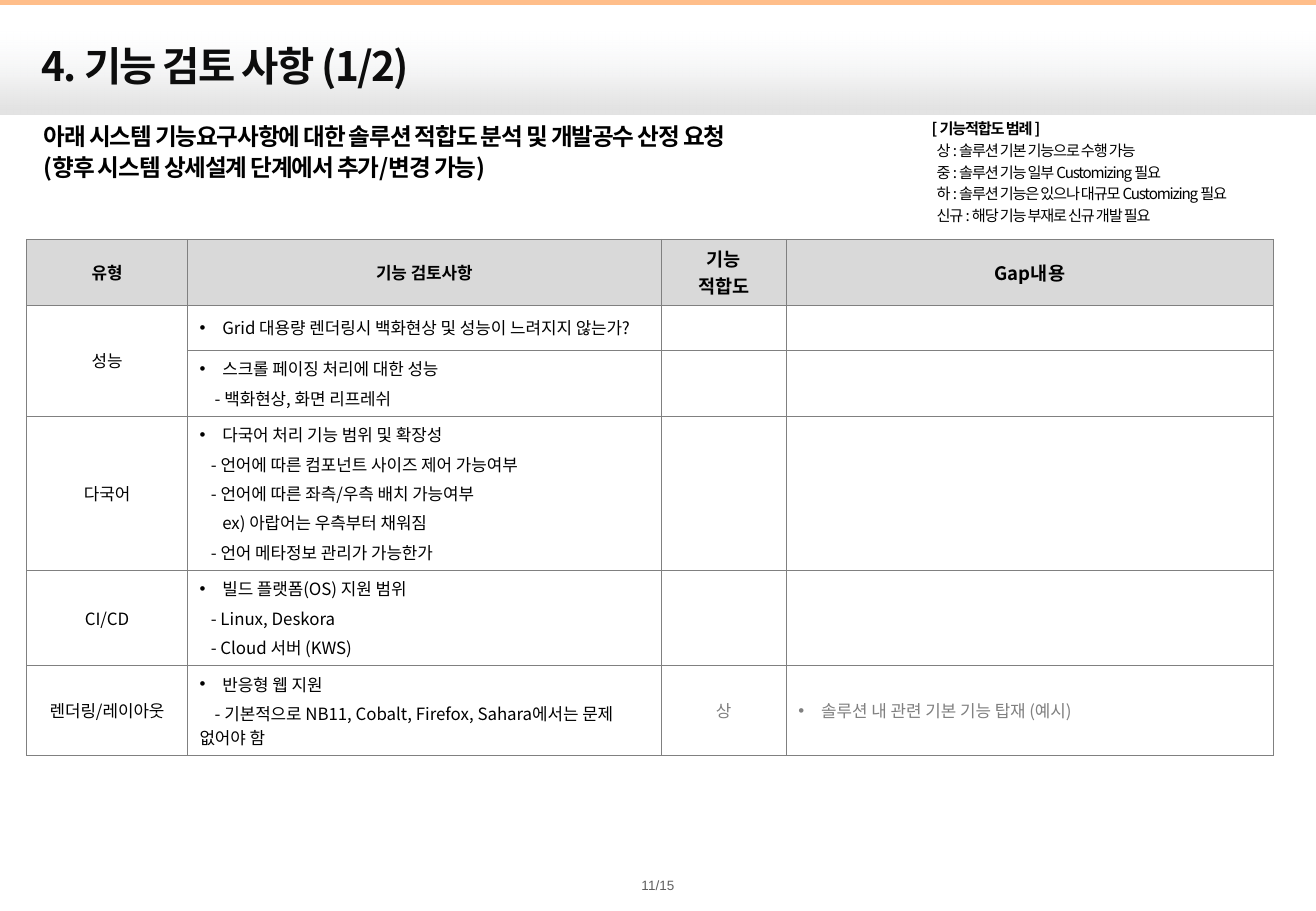
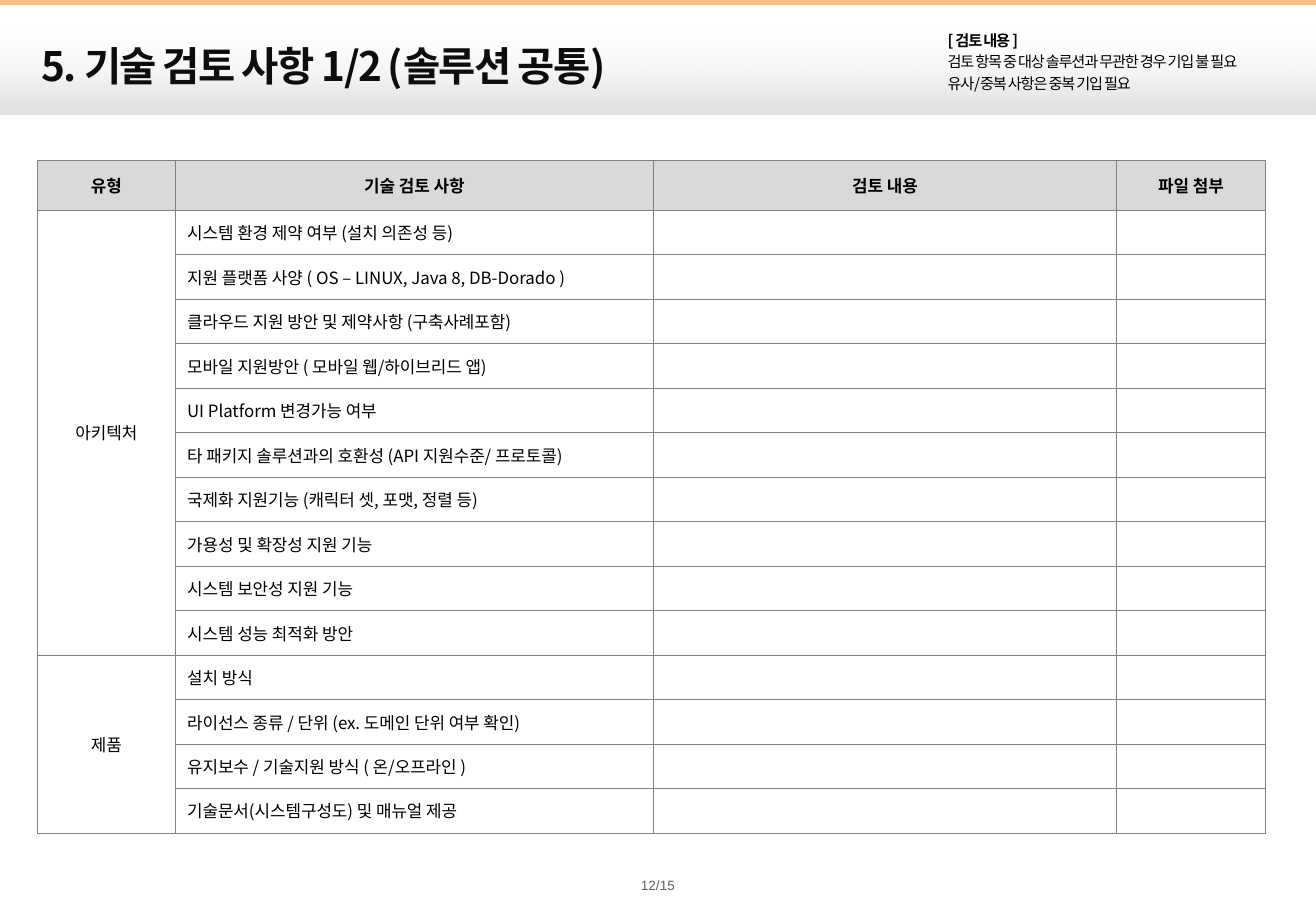
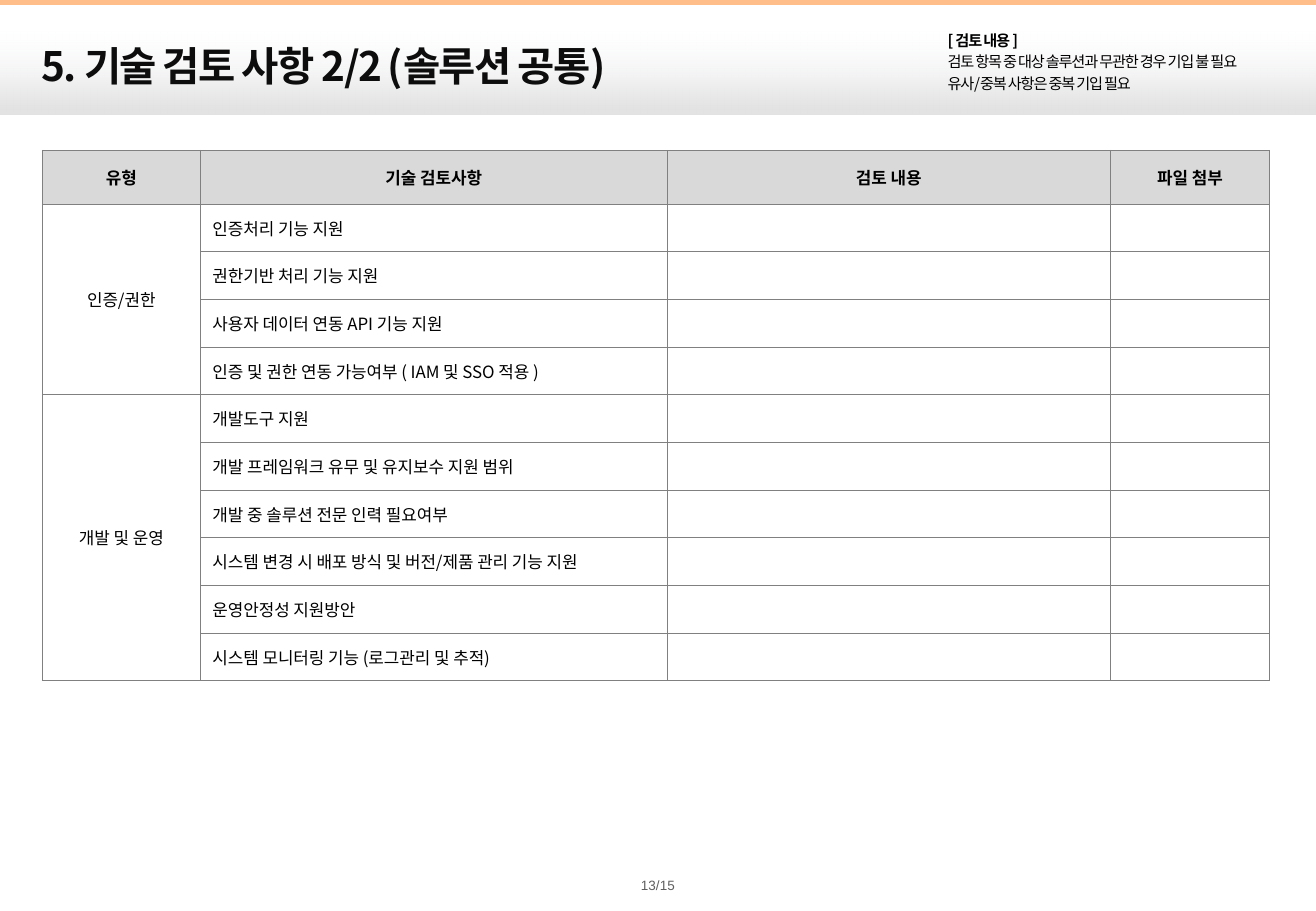
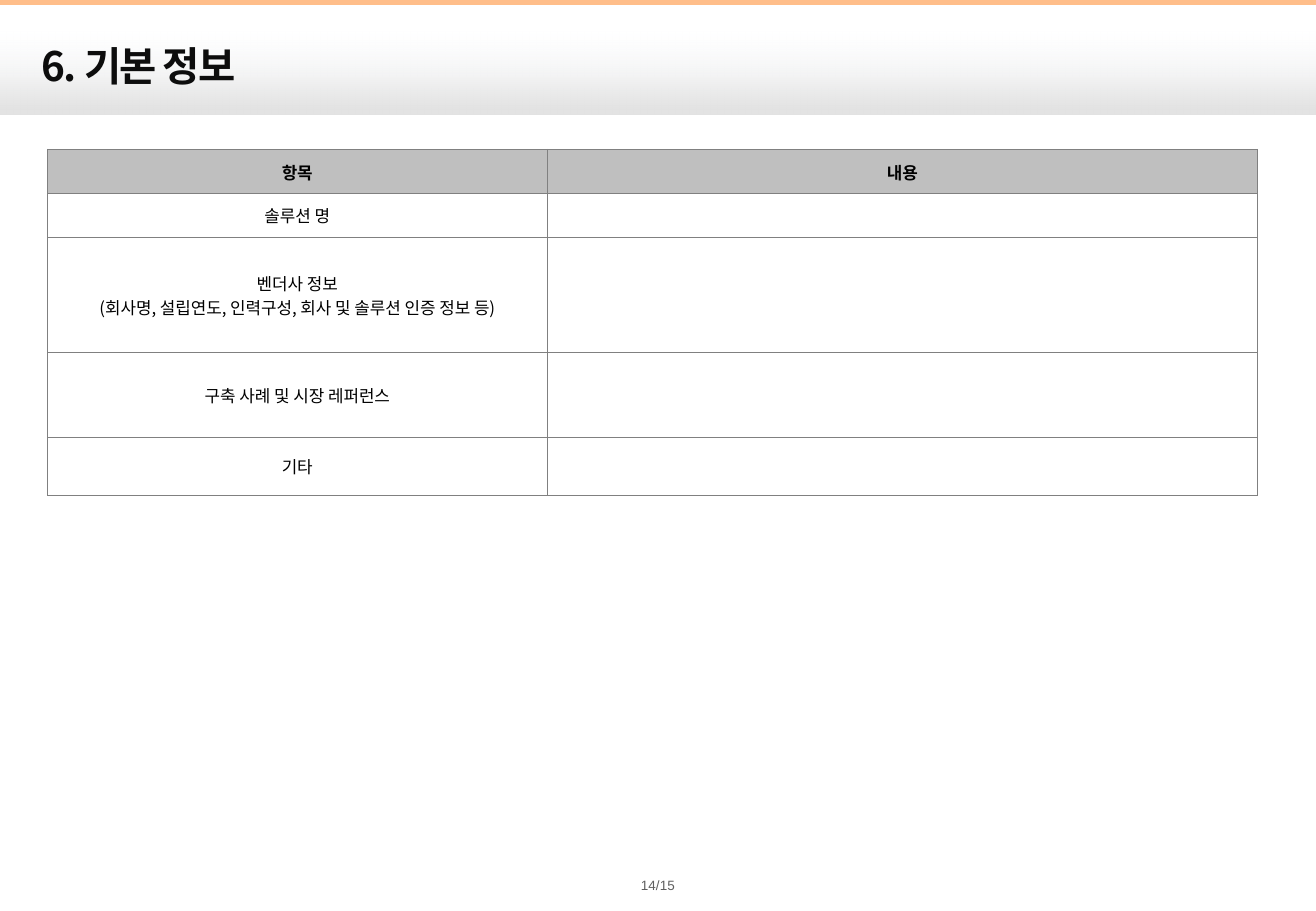
"""Build the solution review slides: function, technology and basic information tables."""
from lxml import etree
from pptx import Presentation
from pptx import util as u
from pptx.dml.color import RGBColor
from pptx.enum import shapes, text
from pptx.oxml.ns import qn

WIDTH, HEIGHT = 780, 540
KOREAN, LATIN = "Noto Sans CJK KR", "Arial"
COLORS = {
    "accent": "FFBE8A",
    "band_top": "F6F9FC",
    "band": "D9D9D9",
    "header": "D9D9D9",
    "header_dark": "BFBFBF",
    "border": "808080",
    "muted": "808080",
    "title": "0D0D0D",
    "text": "000000",
    "page": "5F5F5F",
}
BAND_STOPS = [(0, "band_top", 3), (74, "band", 55), (93, "band", 74)]
INDENTS = {
    "plain": (0, 0),
    "bullet": (13.5, -13.5),
    "legend": (0, 3),
    "dash": (0, 6.75),
    "deep": (0, 9),
    "example": (0, 13.5),
}
LEFT, CENTER = text.PP_ALIGN.LEFT, text.PP_ALIGN.CENTER


def rgb(name):
    """Return a named colour."""
    return RGBColor.from_string(COLORS[name])


def add_element(parent, tag, **attributes):
    """Append an XML child with the given attributes."""
    return etree.SubElement(parent, qn(tag), {key: str(value) for key, value in attributes.items()})


def write(frame, lines, size, color="text", bold=False, bold_first=False, align=LEFT,
          tracking=0, line_spacing=None, space_after=0, font=KOREAN):
    """Write lines, each a string or a (text, indent kind) pair, into a text frame."""
    pairs = [(line, "plain") if isinstance(line, str) else line for line in lines]
    frame.text = "\n".join(words for words, _ in pairs)
    for index, (paragraph, (words, kind)) in enumerate(zip(frame.paragraphs, pairs)):
        paragraph.alignment = align
        paragraph.space_after = u.Pt(space_after)
        if line_spacing:
            paragraph.line_spacing = line_spacing
        properties = paragraph._p.get_or_add_pPr()
        margin, indent = INDENTS[kind]
        properties.set("marL", str(u.Pt(margin)))
        properties.set("indent", str(u.Pt(indent)))
        if kind == "bullet":
            add_element(properties, "a:buFont", typeface=LATIN)
            add_element(properties, "a:buChar", char="•")
        paragraph.font.size = u.Pt(size)
        paragraph.font.bold = bold or (bold_first and index == 0)
        paragraph.font.color.rgb = rgb(color)
        paragraph.font.name = font
        defaults = properties.find(qn("a:defRPr"))
        add_element(defaults, "a:ea", typeface=font)
        if tracking:
            defaults.set("spc", str(round(tracking * 100)))
        if not words:
            add_element(paragraph._p, "a:endParaRPr", sz=size * 100)


def dress_layout(layout, slide):
    """Draw the title band and the top rule once and move them to the layout."""
    for placeholder in list(layout.placeholders):
        if placeholder.placeholder_format.idx:
            placeholder.element.getparent().remove(placeholder.element)
    band = slide.shapes.add_shape(shapes.MSO_SHAPE.RECTANGLE, 0, u.Pt(18.7), u.Pt(WIDTH), u.Pt(49))
    band.shadow.inherit = False
    band.line.fill.background()
    band.fill.gradient()
    band.fill.gradient_angle = 270
    stops = next(band.element.iter(qn("a:gsLst")))
    for stop in list(stops):
        stops.remove(stop)
    for position, color, opacity in BAND_STOPS:
        stop = add_element(stops, "a:gs", pos=position * 1000)
        tint = add_element(stop, "a:srgbClr", val=COLORS[color])
        add_element(tint, "a:alpha", val=opacity * 1000)
    rule = slide.shapes.add_connector(shapes.MSO_CONNECTOR.STRAIGHT, 0, u.Pt(1.4), u.Pt(WIDTH), u.Pt(1.4))
    rule.line.color.rgb = rgb("accent")
    rule.line.width = u.Pt(3.75)
    add_element(rule.element.spPr, "a:effectLst")
    for offset, part in enumerate((band, rule)):
        layout.shapes.element.insert(2 + offset, part.element)


def place_title(slide, words):
    """Move and format the title placeholder."""
    title = slide.shapes.title
    title.left, title.top, title.width, title.height = map(u.Pt, (17.3, 20.9, 697, 36))
    write(title.text_frame, [words], 24, "title", bold=True, tracking=-1)
    title.text_frame.vertical_anchor = text.MSO_ANCHOR.MIDDLE
    title.text_frame.auto_size = text.MSO_AUTO_SIZE.NONE
    title.text_frame.word_wrap = True


def place_text(slide, box, lines, size, **style):
    """Place a text box without insets."""
    frame = slide.shapes.add_textbox(*map(u.Pt, box)).text_frame
    frame.margin_left = frame.margin_right = frame.margin_top = frame.margin_bottom = 0
    frame.word_wrap = True
    write(frame, lines, size, **style)
    return frame


def place_page_number(slide, number):
    """Place the page number in the middle of the foot."""
    frame = place_text(slide, (WIDTH / 2 - 11, 519.8, 22, 9.4), [f"{number}/15"], 8,
                       color="page", align=CENTER, font=LATIN)
    frame.word_wrap = False
    frame.vertical_anchor = text.MSO_ANCHOR.MIDDLE


def place_note(slide, box, lines):
    """Place a small note whose first line is its heading."""
    place_text(slide, box, lines, 9, bold_first=True, tracking=-0.7, line_spacing=1.1, space_after=1)


def format_cell(cell, fill, inset):
    """Set the fill, borders, anchor and insets of a cell."""
    cell.vertical_anchor = text.MSO_ANCHOR.MIDDLE
    if fill:
        cell.fill.solid()
        cell.fill.fore_color.rgb = rgb(fill)
    else:
        cell.fill.background()
    if inset is not None:
        cell.margin_left = cell.margin_right = cell.margin_top = u.Pt(inset)
        cell.margin_bottom = 0
    properties = cell._tc.get_or_add_tcPr()
    for order, side in enumerate(("a:lnL", "a:lnR", "a:lnT", "a:lnB")):
        border = add_element(properties, side, w=u.Pt(0.5))
        add_element(add_element(border, "a:solidFill"), "a:srgbClr", val=COLORS["border"])
        properties.insert(order, border)


def place_table(slide, corner, widths, heights, header, groups, header_sizes=None,
                header_fill="header", inset=None, space_after=3):
    """Place a table whose first column holds one merged cell for each group."""
    left, top = corner
    table = slide.shapes.add_table(len(heights), len(widths), *map(
        u.Pt, (left, top, sum(widths), sum(heights)))).table
    table.first_row = table.horz_banding = False
    for column, width in zip(table.columns, widths):
        column.width = u.Pt(width)
    for row, height in zip(table.rows, heights):
        row.height = u.Pt(height)
    sizes = header_sizes or [10] * len(widths)
    for column, (lines, size) in enumerate(zip(header, sizes)):
        cell = table.cell(0, column)
        format_cell(cell, header_fill, inset)
        write(cell.text_frame, lines, size, bold=True, align=CENTER)
    first = 1
    for category, items in groups:
        for offset, item in enumerate(items):
            contents = [category if offset == 0 else [""], *item]
            contents += [[""]] * (len(widths) - len(contents))
            for column, lines in enumerate(contents):
                cell = table.cell(first + offset, column)
                format_cell(cell, None, inset)
                write(cell.text_frame, lines, 10, "muted" if column > 1 else "text",
                      align=LEFT if column % 2 else CENTER, space_after=space_after)
        if len(items) > 1:
            table.cell(first, 0).merge(table.cell(first + len(items) - 1, 0))
        first += len(items)


def function_slide(slide):
    """Fill the function review slide."""
    place_title(slide, "4. 기능 검토 사항 (1/2)")
    groups = [
        (["성능"], [
            [[("Grid 대용량 렌더링시 백화현상 및 성능이 느려지지 않는가?", "bullet")]],
            [[("스크롤 페이징 처리에 대한 성능", "bullet"), ("- 백화현상, 화면 리프레쉬", "deep")]],
        ]),
        (["다국어"], [[[
            ("다국어 처리 기능 범위 및 확장성", "bullet"),
            ("- 언어에 따른 컴포넌트 사이즈 제어 가능여부", "dash"),
            ("- 언어에 따른 좌측/우측 배치 가능여부", "dash"),
            ("ex) 아랍어는 우측부터 채워짐", "example"),
            ("- 언어 메타정보 관리가 가능한가", "dash"),
        ]]]),
        (["CI/CD"], [[[
            ("빌드 플랫폼(OS) 지원 범위", "bullet"),
            ("- Linux, Deskora", "dash"),
            ("- Cloud 서버 (KWS)", "dash"),
        ]]]),
        (["렌더링/레이아웃"], [[
            [("반응형 웹 지원", "bullet"),
             ("- 기본적으로 NB11, Cobalt, Firefox, Sahara에서는 문제 없어야 함", "deep")],
            ["상"],
            [("솔루션 내 관련 기본 기능 탑재 (예시)", "bullet")],
        ]]),
    ]
    place_table(slide, (15.8, 141.8), (95.3, 280.8, 74.2, 288.8),
                (39, 26.6, 39, 91.5, 56.5, 53.5),
                (["유형"], ["기능 검토사항"], ["기능", "적합도"], ["Gap내용"]), groups,
                header_sizes=(10, 10, 11, 11))
    place_text(slide, (25.9, 70.6, 520, 38), [
        "아래 시스템 기능요구사항에 대한 솔루션 적합도 분석 및 개발공수 산정 요청",
        "(향후 시스템 상세설계 단계에서 추가/변경 가능)",
    ], 14, bold=True, tracking=-0.7, line_spacing=1.1)
    place_note(slide, (552.2, 69.8, 201.6, 69), [
        "[ 기능적합도 범례 ]",
        ("상 : 솔루션 기본 기능으로 수행 가능", "legend"),
        ("중 : 솔루션 기능 일부 Customizing 필요", "legend"),
        ("하 : 솔루션 기능은 있으나 대규모 Customizing 필요", "legend"),
        ("신규 : 해당 기능 부재로 신규 개발 필요", "legend"),
    ])


def technology_slide(slide, part, topic, corner, widths, header_height, row_height, groups):
    """Fill one of the technology review slides."""
    place_title(slide, f"5. 기술 검토 사항 {part}/2 (솔루션 공통)")
    rows = [(name and [name], [[[item]] for item in items]) for name, items in groups]
    count = sum(len(items) for _, items in groups)
    place_table(slide, corner, widths, [header_height] + [row_height] * count,
                (["유형"], [topic], ["검토 내용"], ["파일 첨부"]), rows)
    place_note(slide, (561.6, 17.3, 203, 44), [
        "[ 검토 내용 ]",
        "검토 항목 중 대상 솔루션과 무관한 경우 기입 불 필요",
        "유사/중복 사항은 중복 기입 필요",
    ])


def architecture_slide(slide):
    """Fill the architecture and product slide."""
    technology_slide(slide, 1, "기술 검토 사항", (22.3, 95.2), (81.4, 283.7, 274.3, 88.6), 29.5, 26.38, [
        ("아키텍처", [
            "시스템 환경 제약 여부 (설치 의존성 등)",
            "지원 플랫폼 사양 ( OS – LINUX, Java 8, DB-Dorado )",
            "클라우드 지원 방안 및 제약사항 (구축사례포함)",
            "모바일 지원방안 ( 모바일 웹/하이브리드 앱)",
            "UI Platform 변경가능 여부",
            "타 패키지 솔루션과의 호환성 (API 지원수준/ 프로토콜)",
            "국제화 지원기능 (캐릭터 셋, 포맷, 정렬 등)",
            "가용성 및 확장성 지원 기능",
            "시스템 보안성 지원 기능",
            "시스템 성능 최적화 방안",
        ]),
        ("제품", [
            "설치 방식",
            "라이선스 종류 / 단위 (ex. 도메인 단위 여부 확인)",
            "유지보수 / 기술지원 방식 ( 온/오프라인 )",
            "기술문서(시스템구성도) 및 매뉴얼 제공",
        ]),
    ])


def operation_slide(slide):
    """Fill the authorization and operation slide."""
    technology_slide(slide, 2, "기술 검토사항", (25.1, 89), (93.6, 276.8, 262.6, 94.6), 31.9, 28.28, [
        ("인증/권한", [
            "인증처리 기능 지원",
            "권한기반 처리 기능 지원",
            "사용자 데이터 연동 API 기능 지원",
            "인증 및 권한 연동 가능여부 ( IAM 및 SSO 적용 )",
        ]),
        ("개발 및 운영", [
            "개발도구 지원",
            "개발 프레임워크 유무 및 유지보수 지원 범위",
            "개발 중 솔루션 전문 인력 필요여부",
            "시스템 변경 시 배포 방식 및 버전/제품 관리 기능 지원",
            "운영안정성 지원방안",
            "시스템 모니터링 기능 (로그관리 및 추적)",
        ]),
    ])


def information_slide(slide):
    """Fill the basic information slide."""
    place_title(slide, "6. 기본 정보")
    topics = [
        ["솔루션 명"],
        ["벤더사 정보", "(회사명, 설립연도, 인력구성, 회사 및 솔루션 인증 정보 등)"],
        ["구축 사례 및 시장 레퍼런스"],
        ["기타"],
    ]
    place_table(slide, (28.1, 88.5), (296.2, 421.2), (26, 26, 68.2, 50.4, 34.4),
                (["항목"], ["내용"]), [(topic, [[]]) for topic in topics],
                header_fill="header_dark", inset=0.7, space_after=0)


def main():
    """Build and save the presentation."""
    deck = Presentation()
    deck.slide_width, deck.slide_height = u.Pt(WIDTH), u.Pt(HEIGHT)
    layout = deck.slide_layouts[5]
    builders = (function_slide, architecture_slide, operation_slide, information_slide)
    for number, build in enumerate(builders, 11):
        slide = deck.slides.add_slide(layout)
        if number == 11:
            dress_layout(layout, slide)
        build(slide)
        place_page_number(slide, number)
    deck.save("out.pptx")


if __name__ == "__main__":
    main()
